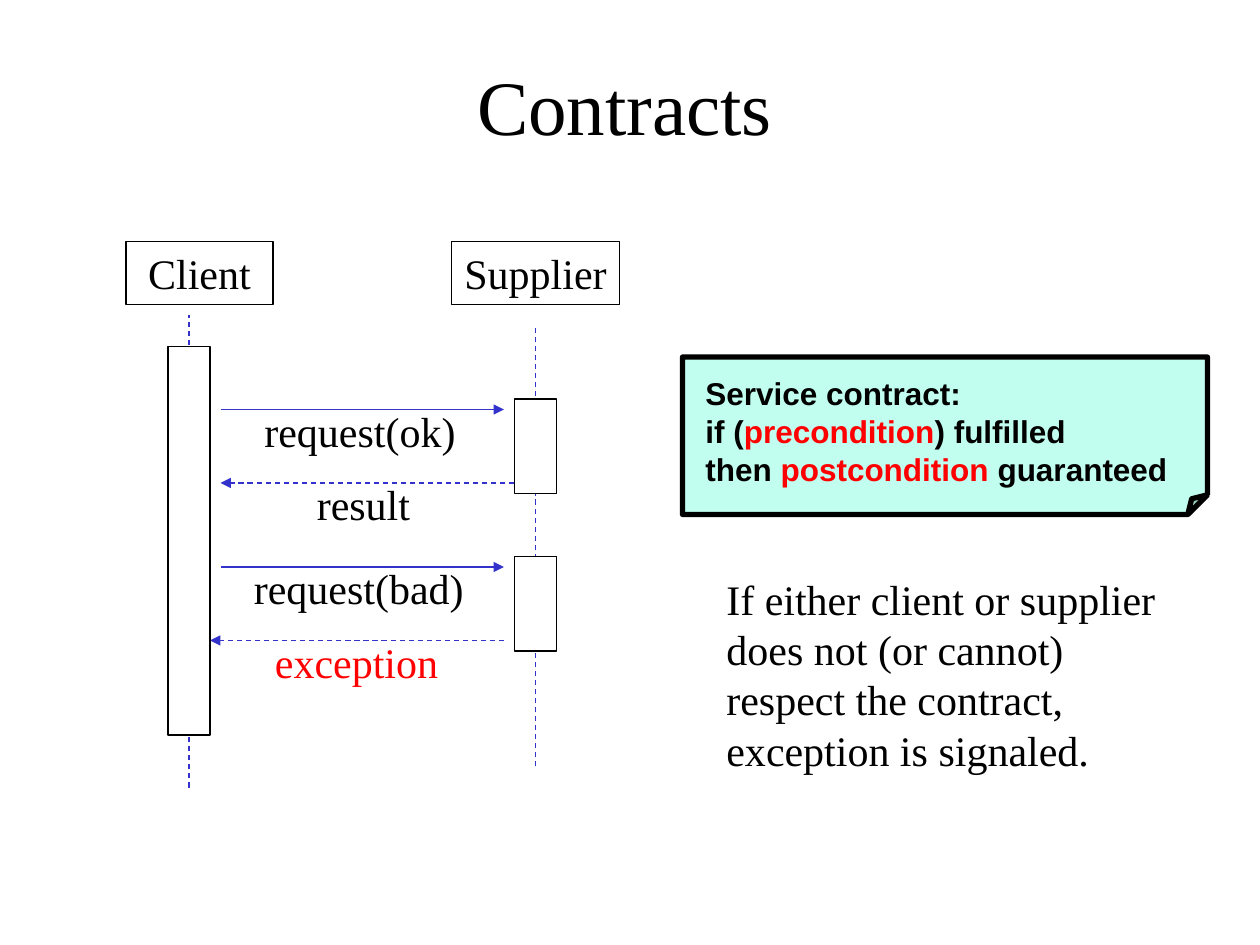
from pptx import Presentation
from pptx.dml.color import RGBColor
from pptx.enum.dml import MSO_LINE
from pptx.enum.shapes import MSO_CONNECTOR, MSO_SHAPE
from pptx.enum.text import MSO_ANCHOR as ANCHOR, PP_ALIGN as ALIGN
from pptx.oxml.ns import qn
from pptx.util import Emu, Pt
from lxml.etree import SubElement

EMU_PER_PX = 7620
COLORS = {
    "black": "000000",
    "white": "FFFFFF",
    "red": "FF0000",
    "blue": "3333CC",
    "mint": "C1FEEF",
}


def px(*lengths):
    return [Emu(length * EMU_PER_PX) for length in lengths]


def color(name):
    return RGBColor.from_string(COLORS[name])


def write_text(shape, lines, size=24, font="Times New Roman", bold=False,
               align=ALIGN.LEFT, anchor=ANCHOR.TOP, wrap=True):
    frame = shape.text_frame
    frame.word_wrap = wrap
    frame.vertical_anchor = anchor
    for index, line in enumerate(lines):
        paragraph = frame.paragraphs[0] if index == 0 else frame.add_paragraph()
        paragraph.alignment = align
        for text, color_name in line:
            run = paragraph.add_run()
            run.text = text
            run.font.size = Pt(size)
            run.font.name = font
            run.font.bold = bold
            run.font.color.rgb = color(color_name)


def add_text(slide, box, lines, **text_format):
    write_text(slide.shapes.add_textbox(*px(*box)), lines, **text_format)


def add_box(slide, box, fill=None, line_width=0.75, preset=MSO_SHAPE.RECTANGLE):
    shape = slide.shapes.add_shape(preset, *px(*box))
    shape.shadow.inherit = False
    if fill:
        shape.fill.solid()
        shape.fill.fore_color.rgb = color(fill)
    else:
        shape.fill.background()
    shape.line.color.rgb = color("black")
    shape.line.width = Pt(line_width)
    return shape


def add_line(slide, start, end, dashed=False, arrow=False):
    connector = slide.shapes.add_connector(
        MSO_CONNECTOR.STRAIGHT, *px(*start, *end))
    connector.line.color.rgb = color("blue")
    connector.line.width = Pt(0.75)
    if dashed:
        connector.line.dash_style = MSO_LINE.DASH
    properties = connector._element.spPr
    if arrow:
        SubElement(properties.find(qn("a:ln")), qn("a:tailEnd"), type="triangle")
    SubElement(properties, qn("a:effectLst"))


def add_contract(slide):
    note = add_box(slide, (650, 340, 500, 150), "mint", 3,
                   MSO_SHAPE.FOLDED_CORNER)
    geometry = note._element.spPr.find(qn("a:prstGeom"))
    adjustments = geometry.find(qn("a:avLst"))
    if adjustments is None:
        adjustments = SubElement(geometry, qn("a:avLst"))
    SubElement(adjustments, qn("a:gd"), name="adj", fmla="val 12500")
    add_text(slide, (660, 350, 490, 121), [
        [("Service contract:", "black")],
        [("if (", "black"), ("precondition", "red"), (") fulfilled", "black")],
        [("then ", "black"), ("postcondition ", "red"), ("guaranteed", "black")],
    ], size=18, font="Arial", bold=True, anchor=ANCHOR.MIDDLE)


def add_sequence(slide):
    for name, left, width in [("Client", 120, 140), ("Supplier", 430, 160)]:
        header = add_box(slide, (left, 230, width, 60))
        write_text(header, [[(name, "black")]], align=ALIGN.CENTER, wrap=False)

    for x, top, bottom in [(510, 310, 730), (180, 300, 750)]:
        add_line(slide, (x, bottom), (x, top), dashed=True)

    messages = [
        ("request(ok)", "black", 210, 480, 390, 240, 220),
        ("result", "black", 490, 210, 460, 290, 170),
        ("request(bad)", "black", 210, 480, 540, 230, 230),
        ("exception", "red", 480, 200, 610, 250, 220),
    ]
    for text, text_color, start, end, y, left, width in messages:
        add_line(slide, (start, y), (end, y), dashed=end < start, arrow=True)
        add_text(slide, (left, y - 10, width, 60), [[(text, text_color)]])

    for activation in [(160, 330, 40, 370), (490, 380, 40, 90), (490, 530, 40, 90)]:
        add_box(slide, activation, "white")


def main():
    presentation = Presentation()
    presentation.slide_width, presentation.slide_height = px(1200, 900)
    slide = presentation.slides.add_slide(presentation.slide_layouts[6])
    add_text(slide, (90, 60, 1010, 80), [[("Contracts", "black")]],
             size=44, align=ALIGN.CENTER, anchor=ANCHOR.MIDDLE)
    add_text(slide, (680, 540, 450, 206), [[(
        "If either client or supplier does not (or cannot) respect "
        "the contract, exception is signaled.", "black")]])
    add_contract(slide)
    add_sequence(slide)
    presentation.save("out.pptx")


if __name__ == "__main__":
    main()
